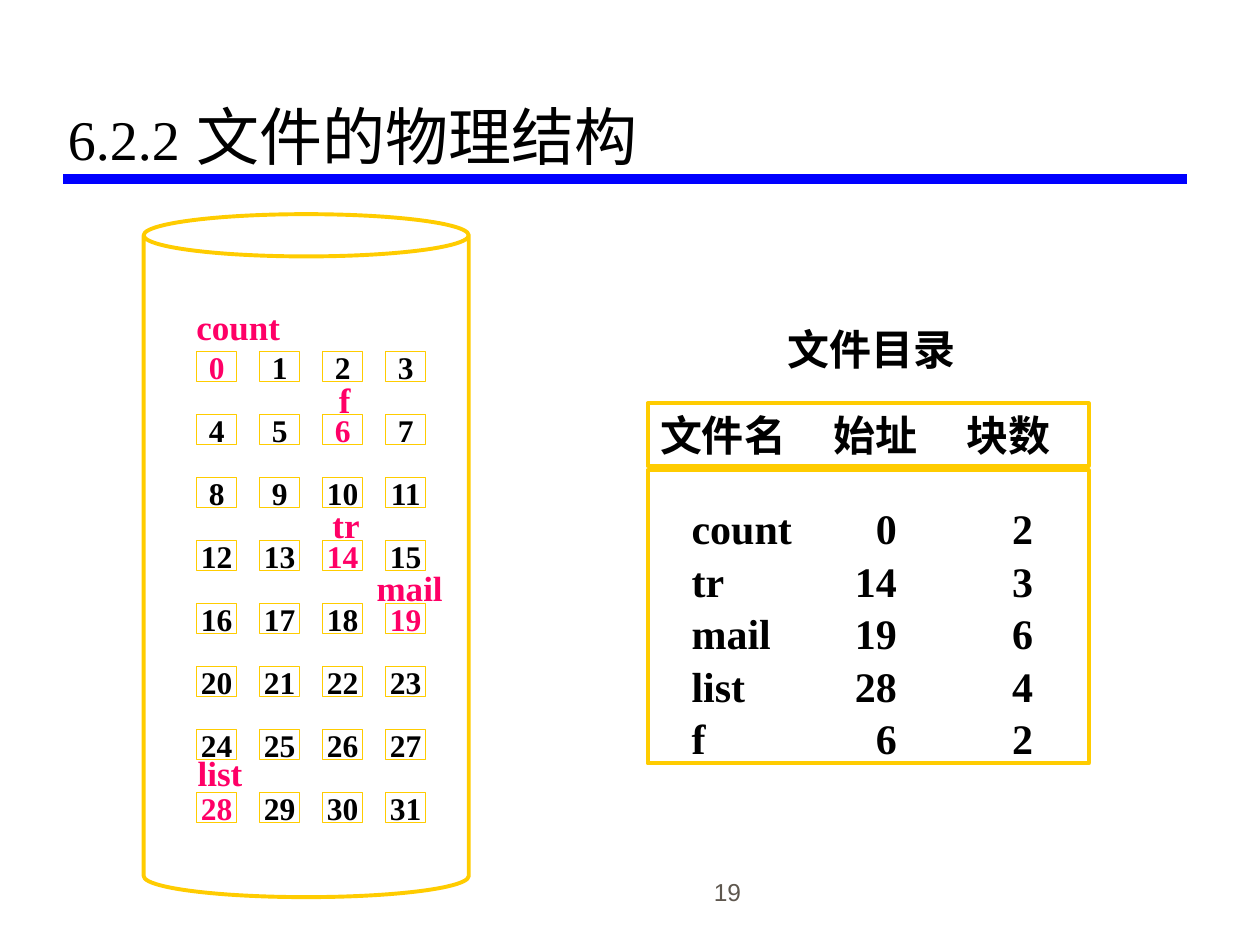
from pptx import Presentation
from pptx.dml.color import RGBColor
from pptx.enum.shapes import MSO_CONNECTOR, MSO_SHAPE
from pptx.enum.text import MSO_ANCHOR, PP_ALIGN
from pptx.oxml.ns import qn
from pptx.util import Inches, Pt
from lxml import etree

RECTANGLE, CAN = MSO_SHAPE.RECTANGLE, MSO_SHAPE.CAN
TOP, MIDDLE, BOTTOM = MSO_ANCHOR.TOP, MSO_ANCHOR.MIDDLE, MSO_ANCHOR.BOTTOM
LEFT, CENTER, RIGHT = PP_ALIGN.LEFT, PP_ALIGN.CENTER, PP_ALIGN.RIGHT
BLACK, PINK, GOLD, BLUE, GREY = "000000", "FF0066", "FFCC00", "0000FF", "5E574E"
SERIF = "Times New Roman"

TITLE = [("6.2.2", 32, SERIF), (" 文件的物理结构", 36, "Montserrat")]
PAGE_NUMBER = "19"
DIRECTORY_TITLE = "文件目录"
HEADINGS = ("文件名", "始址", "块数")
FILES = [("count", 0, 2), ("tr", 14, 3), ("mail", 19, 6), ("list", 28, 4), ("f", 6, 2)]
HEADING_TABS = [(1.38, "l"), (2.43, "l")]
FILE_TABS = [(1.63, "r"), (2.71, "r")]
FILE_LABELS = {
    "count": (1.46, 2.37, 0.94),
    "f": (2.59, 2.95, 0.25),
    "tr": (2.54, 3.94, 0.42),
    "mail": (2.89, 4.44, 0.75),
    "list": (1.47, 5.91, 0.75),
}
BLOCK_ROWS, BLOCK_COLUMNS, BLOCK_PITCH = 8, 4, 0.5
BLOCK_LEFT, BLOCK_TOP, BLOCK_WIDTH, BLOCK_HEIGHT = 1.56, 2.79, 0.32, 0.24
DIRECTORY_LEFT, DIRECTORY_WIDTH = 5.14, 3.5


def color(value):
    return RGBColor.from_string(value)


def style(font, size, name=SERIF, tint=BLACK, bold=True):
    font.size, font.name, font.bold = Pt(size), name, bold
    font.color.rgb = color(tint)


def add_tabs(para, stops):
    tab_list = etree.SubElement(para._p.get_or_add_pPr(), qn("a:tabLst"))
    for position, align in stops:
        etree.SubElement(tab_list, qn("a:tab"), pos=str(Inches(position)), algn=align)


def write(shape, lines, size, tint=BLACK, align=LEFT, anchor=TOP, wrap=True,
          name=SERIF, bold=True, tabs=(), gap=0):
    frame = shape.text_frame
    frame.text = "\n".join(lines)
    frame.word_wrap, frame.vertical_anchor = wrap, anchor
    for index, para in enumerate(frame.paragraphs):
        para.alignment = align
        if index:
            para.space_before = Pt(gap)
        if tabs:
            add_tabs(para, tabs)
        for span in para.runs:
            style(span.font, size, name, tint, bold)


def add_box(page, *place):
    return page.shapes.add_textbox(*map(Inches, place))


def add_outline(page, kind, place, weight):
    shape = page.shapes.add_shape(kind, *map(Inches, place))
    shape.shadow.inherit = False
    shape.fill.background()
    shape.line.color.rgb = color(GOLD)
    shape.line.width = Pt(weight)
    return shape


def add_heading(page):
    rule = page.shapes.add_connector(
        MSO_CONNECTOR.STRAIGHT, *map(Inches, (0.5, 1.42, 9.42, 1.42)))
    rule.line.color.rgb = color(BLUE)
    rule.line.width = Pt(6)
    etree.SubElement(rule._element.spPr, qn("a:effectLst"))
    write(add_box(page, 3.9, 6.74, 2.08, 0.5), [PAGE_NUMBER], 14, GREY, RIGHT,
          BOTTOM, name="Arial", bold=False)
    frame = add_box(page, 0.44, 0.17, 8.97, 1.25).text_frame
    frame.word_wrap, frame.vertical_anchor = True, BOTTOM
    for text, size, name in TITLE:
        span = frame.paragraphs[0].add_run()
        span.text = text
        style(span.font, size, name, bold=False)


def add_disk(page):
    starts = {start for _, start, _ in FILES}
    for number in range(BLOCK_ROWS * BLOCK_COLUMNS):
        row, column = divmod(number, BLOCK_COLUMNS)
        place = (BLOCK_LEFT + column * BLOCK_PITCH, BLOCK_TOP + row * BLOCK_PITCH,
                 BLOCK_WIDTH, BLOCK_HEIGHT)
        write(add_outline(page, RECTANGLE, place, 0.75), [str(number)], 18,
              PINK if number in starts else BLACK, CENTER, MIDDLE, wrap=False)
    cylinder = add_outline(page, CAN, (1.14, 1.7, 2.58, 5.42), 2.25)
    cylinder.adjustments[0] = 0.13
    for label, (left, top, width) in FILE_LABELS.items():
        write(add_box(page, left, top, width, 0.44), [label], 20, PINK, anchor=BOTTOM)


def add_directory(page):
    header = add_outline(page, RECTANGLE, (DIRECTORY_LEFT, 3.2, DIRECTORY_WIDTH, 0.5), 2.25)
    write(header, ["\t".join(HEADINGS)], 24, tabs=HEADING_TABS)
    add_outline(page, RECTANGLE, (DIRECTORY_LEFT, 3.73, DIRECTORY_WIDTH, 2.33), 2.25)
    rows = ["\t".join(map(str, entry)) for entry in FILES]
    write(add_box(page, 5.39, 3.94, 2.98, 2.17), rows, 24, tabs=FILE_TABS, gap=1.2)
    write(add_box(page, 6.15, 2.52, 1.53, 0.5), [DIRECTORY_TITLE], 24, wrap=False)


def main():
    """Build the slide on the physical structure of files."""
    deck = Presentation()
    deck.slide_width, deck.slide_height = Inches(10), Inches(7.5)
    page = deck.slides.add_slide(deck.slide_layouts[6])
    add_heading(page)
    add_disk(page)
    add_directory(page)
    deck.save("out.pptx")


if __name__ == "__main__":
    main()
